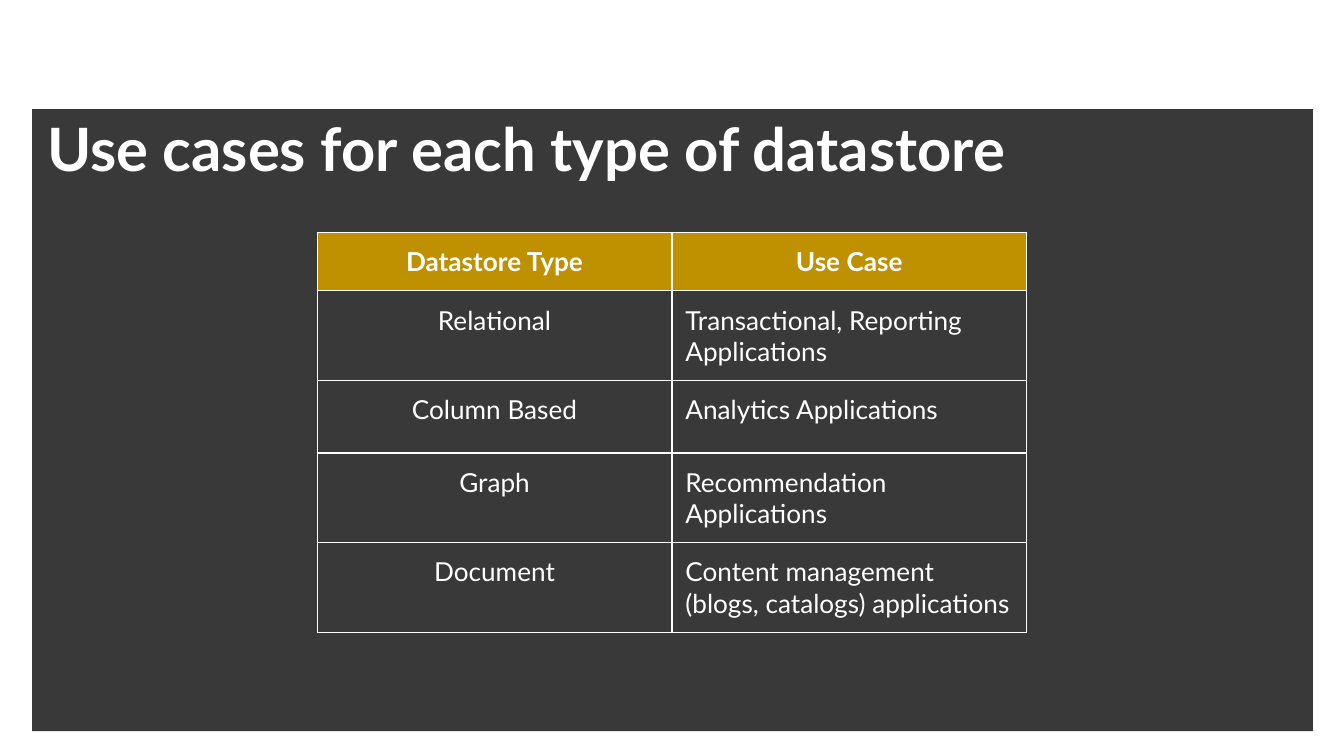
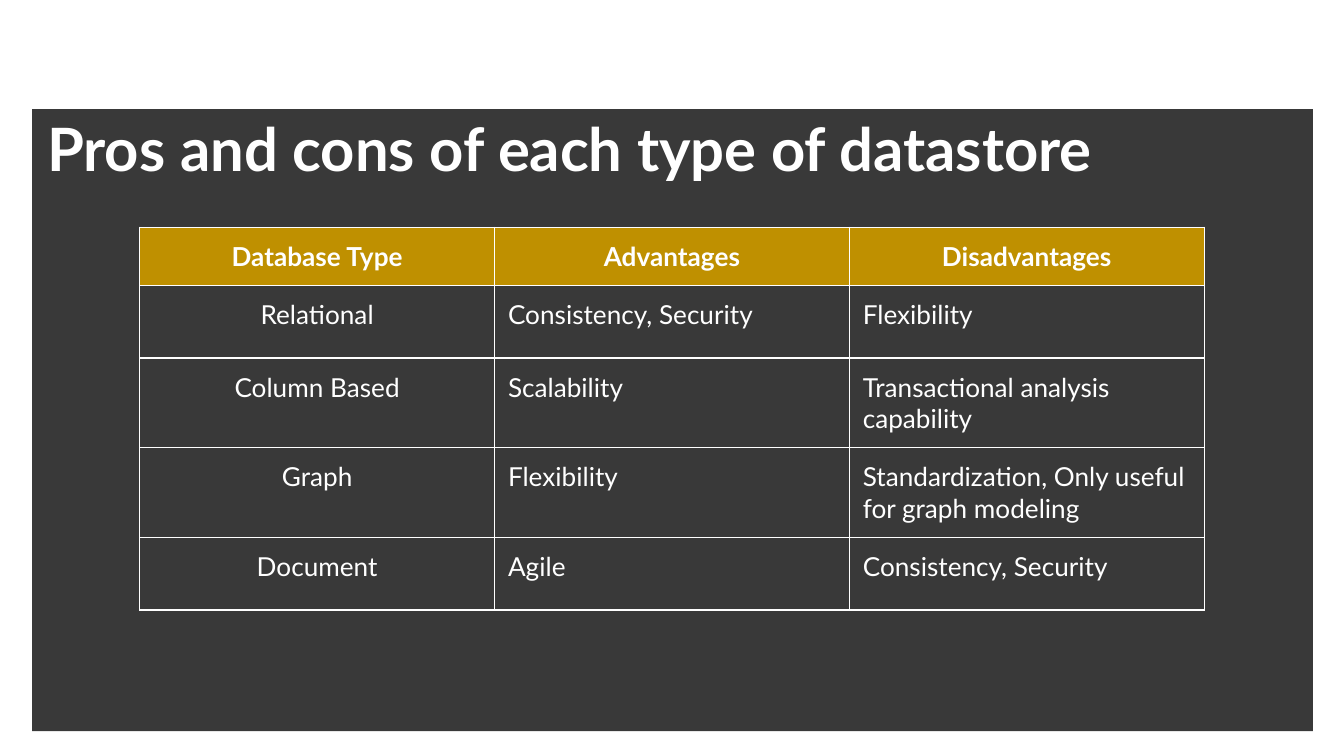
"""Builds two slides that compare datastore types in tables."""
from lxml import etree
from pptx import Presentation
from pptx import util as u
from pptx.dml.color import RGBColor
from pptx.enum import shapes, text
from pptx.oxml.ns import qn

COLORS = {"panel": "393939", "band": "FFFFFF", "text": "FFFFFF", "header": "BF9000", "border": "FFFFFF"}
FONT = "Lato"
SLIDE_WIDTH = 10
SLIDE_HEIGHT = SLIDE_WIDTH * 9 / 16
BANDS = [("panel", (0.24, 0.19, 9.53, 5.25)), ("band", (0.17, 0, 9.67, 0.81))]
TITLE_BOX = (0.25, 0.81, 9.5, 0.57)
COLUMN_WIDTH, HEADER_HEIGHT, ROW_HEIGHT = 2.64, 0.42, 0.54
CELL_MARGIN, BORDER_WIDTH = 0.1, 0.75
TITLE_FORMAT = {"name": FONT, "size": u.Pt(32), "bold": True}
HEADER_FORMAT = {"name": FONT, "size": u.Pt(14), "bold": True}
BODY_FORMAT = {**HEADER_FORMAT, "bold": False}
SIDES = ("left", "right", "top", "bottom")

SLIDES = [
    {
        "title": "Use cases for each type of datastore",
        "table_top": 1.73,
        "rows": [
            ("Datastore Type", "Use Case"),
            ("Relational", "Transactional, Reporting Applications"),
            ("Column Based", "Analytics Applications"),
            ("Graph", "Recommendation Applications"),
            ("Document", "Content management (blogs, catalogs) applications"),
        ],
    },
    {
        "title": "Pros and cons of each type of datastore",
        "table_top": 1.69,
        "rows": [
            ("Database Type", "Advantages", "Disadvantages"),
            ("Relational", "Consistency, Security", "Flexibility"),
            ("Column Based", "Scalability", "Transactional analysis capability"),
            ("Graph", "Flexibility", "Standardization, Only useful for graph modeling"),
            ("Document", "Agile", "Consistency, Security"),
        ],
    },
]


def rgb(name):
    return RGBColor.from_string(COLORS[name])


def set_attributes(target, values):
    for name, value in values.items():
        setattr(target, name, value)


def write(text_frame, content, font_format, alignment):
    paragraph = text_frame.paragraphs[0]
    paragraph.alignment = alignment
    run = paragraph.add_run()
    run.text = content
    set_attributes(run.font, font_format)
    run.font.color.rgb = rgb("text")


def add_layout_bands(layout, slide):
    for index, (color, box) in enumerate(BANDS):
        shape = slide.shapes.add_shape(shapes.MSO_SHAPE.RECTANGLE, *map(u.Inches, box))
        shape.shadow.inherit = False
        shape.fill.solid()
        shape.fill.fore_color.rgb = rgb(color)
        shape.line.fill.background()
        shape.element.nvSpPr.cNvPr.id = 101 + index
        layout.shapes.element.insert(2 + index, shape.element)


def add_title(slide, content):
    title = slide.shapes.title
    set_attributes(title, dict(zip(("left", "top", "width", "height"), map(u.Inches, TITLE_BOX))))
    frame = title.text_frame
    set_attributes(frame, {
        "word_wrap": True,
        "auto_size": text.MSO_AUTO_SIZE.NONE,
        "vertical_anchor": text.MSO_ANCHOR.MIDDLE,
    })
    write(frame, content, TITLE_FORMAT, text.PP_ALIGN.LEFT)


def add_borders(graphic_frame):
    for properties in graphic_frame.element.iter(qn("a:tcPr")):
        for index, side in enumerate(SIDES):
            line = etree.Element(qn(f"a:ln{side[0].upper()}"), w=str(u.Pt(BORDER_WIDTH)))
            fill = etree.SubElement(line, qn("a:solidFill"))
            etree.SubElement(fill, qn("a:srgbClr"), val=COLORS["border"])
            properties.insert(index, line)


def add_table(slide, rows, top):
    column_count = len(rows[0])
    width = COLUMN_WIDTH * column_count
    height = HEADER_HEIGHT + ROW_HEIGHT * (len(rows) - 1)
    box = ((SLIDE_WIDTH - width) / 2, top, width, height)
    graphic_frame = slide.shapes.add_table(len(rows), column_count, *map(u.Inches, box))
    table = graphic_frame.table
    table.horz_banding = False
    for column in table.columns:
        column.width = u.Inches(COLUMN_WIDTH)
    for row_index, row in enumerate(rows):
        is_header = row_index == 0
        table.rows[row_index].height = u.Inches(HEADER_HEIGHT if is_header else ROW_HEIGHT)
        for column_index, content in enumerate(row):
            cell = table.cell(row_index, column_index)
            set_attributes(cell, {f"margin_{side}": u.Inches(CELL_MARGIN) for side in SIDES})
            if is_header:
                cell.fill.solid()
                cell.fill.fore_color.rgb = rgb("header")
            else:
                cell.fill.background()
            centered = is_header or column_index == 0
            write(cell.text_frame, content, HEADER_FORMAT if is_header else BODY_FORMAT,
                  text.PP_ALIGN.CENTER if centered else text.PP_ALIGN.LEFT)
    add_borders(graphic_frame)


def main():
    presentation = Presentation()
    presentation.slide_width = u.Inches(SLIDE_WIDTH)
    presentation.slide_height = u.Inches(SLIDE_HEIGHT)
    layout = presentation.slide_layouts.get_by_name("Title Only")
    for number, content in enumerate(SLIDES):
        slide = presentation.slides.add_slide(layout)
        if number == 0:
            add_layout_bands(layout, slide)
        add_title(slide, content["title"])
        add_table(slide, content["rows"], content["table_top"])
    presentation.save("out.pptx")


if __name__ == "__main__":
    main()
